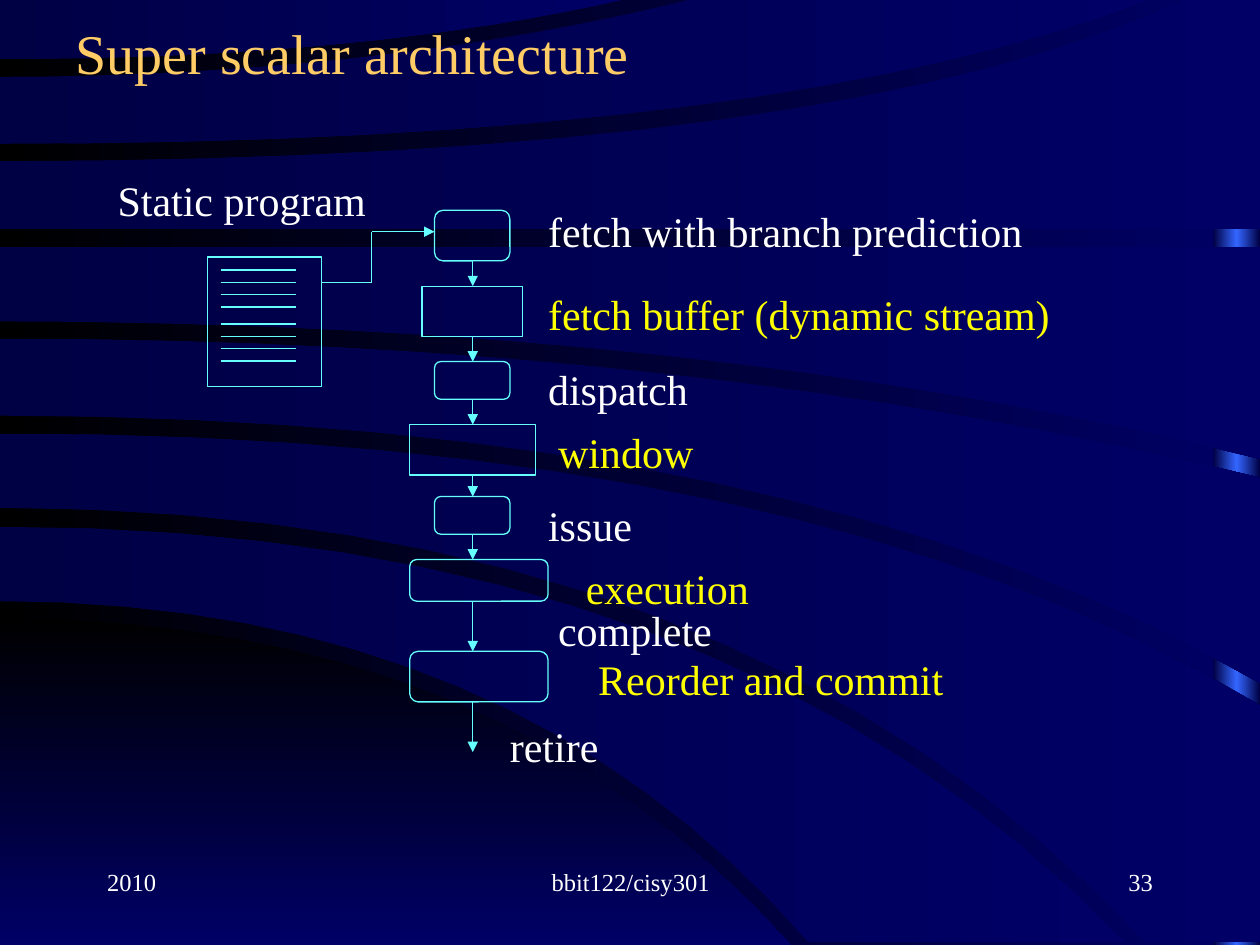
import copy
import itertools

import pptx
import pptx.dml.color
import pptx.enum.shapes
import pptx.enum.text
import pptx.oxml
import pptx.oxml.ns
import pptx.util

Cm = pptx.util.Cm
ALIGN = pptx.enum.text.PP_ALIGN
ANCHOR = pptx.enum.text.MSO_ANCHOR
SHAPE = pptx.enum.shapes.MSO_SHAPE

COLOURS = {
    "black": "000000", "navy": "000066", "midnight": "000044", "blue": "3366FF",
    "cyan": "66FFFF", "white": "FFFFFF", "yellow": "FFFF00", "gold": "FFCC66",
}

WIDTH, HEIGHT, TOP, FLOOR = 25.4, 19.05, -0.05, 19

WEDGE = [(12.47, 10.1, 15.95, HEIGHT), (HEIGHT, 8, 15.95, HEIGHT)]
BANDS = [
    [(10.62, 14.66, 22.68, FLOOR), (12.12, 10.34, 16.31, FLOOR)],
    [(8.74, 16.26, WIDTH, 14.22), (10.24, 14.95, 23.09, FLOOR)],
    [(6.83, 13.9, WIDTH, 9.63), (8.38, 16.1, WIDTH, 13.77)],
    [(4.98, 12.7, WIDTH, 4.98), (6.48, 14.3, WIDTH, 9.25)],
    [(3.25, 17, 23.95, TOP), (4.62, 12.7, WIDTH, 4.62)],
    [(1.55, 7.74, 14.12, TOP), (2.9, 15.75, 23.29, TOP)],
    [(TOP, 6.4, 12.73, TOP), (1.19, 7.4, 12.73, TOP)],
]
CORNERS = {1: [(WIDTH, FLOOR)], 4: [(WIDTH, TOP)]}

STAGES = [
    (SHAPE.ROUNDED_RECTANGLE, 8.76, 4.24, 1.52, 1.02),
    (SHAPE.RECTANGLE, 8.51, 5.77, 2.03, 1.02),
    (SHAPE.ROUNDED_RECTANGLE, 8.76, 7.29, 1.52, 0.76),
    (SHAPE.RECTANGLE, 8.26, 8.56, 2.54, 1.02),
    (SHAPE.ROUNDED_RECTANGLE, 8.76, 10.01, 1.52, 0.76),
    (SHAPE.ROUNDED_RECTANGLE, 8.26, 11.28, 2.79, 0.84),
    (SHAPE.ROUNDED_RECTANGLE, 8.26, 13.13, 2.79, 1.02),
]
AXIS, FLOW_END = 9.53, 15.16

LABELS = [
    ("Static program", 2.12, 3.38, 5.92, 1.4, "white"),
    ("fetch with branch prediction", 10.8, 4.02, 11.23, 1.02, "white"),
    ("fetch buffer (dynamic stream)", 10.8, 5.69, 12.9, 1.02, "yellow"),
    ("dispatch", 10.8, 7.2, 7.24, 1.02, "white"),
    ("window", 11, 8.47, 5.28, 1.02, "yellow"),
    ("issue", 10.8, 9.95, 2.34, 1.06, "white"),
    ("execution", 11.56, 11.22, 6.02, 0.81, "yellow"),
    ("complete", 11, 12.06, 5.26, 0.81, "white"),
    ("Reorder and commit", 11.81, 13.05, 9.14, 0.91, "yellow"),
    ("retire", 10.03, 14.4, 3.3, 0.76, "white"),
]

FOOTERS = [
    ("2010", 1.91, 5.28, ALIGN.LEFT),
    ("bbit122/cisy301", 8.69, 8.05, ALIGN.CENTER),
    ("33", 18.21, 5.28, ALIGN.RIGHT),
]


def curve(start_y, bend_x, end_x, end_y, steps=16):
    """Return points from the left edge along an arc that starts level."""
    fractions = [step / steps for step in range(steps + 1)]
    return [(2 * t * (1 - t) * bend_x + t * t * end_x, start_y + t * t * (end_y - start_y))
            for t in fractions]


class SlideBuilder:
    """Draw styled elements on the current slide."""

    font_format = {"name": "Times New Roman", "bold": False}
    frame_format = {
        "word_wrap": True, "margin_left": Cm(0.25), "margin_right": Cm(0.25),
        "margin_top": Cm(0.13), "margin_bottom": Cm(0.13),
    }

    def __init__(self, slide):
        self.slide = slide

    def colour(self, name):
        return pptx.dml.color.RGBColor.from_string(COLOURS[name])

    def apply(self, target, values):
        for name, value in values.items():
            setattr(target, name, value)

    def gradient(self, fill, element, names, angle=0):
        fill.gradient()
        fill.gradient_angle = angle
        stop_list = element.xpath(".//a:gsLst")[0]
        while len(stop_list) < len(names):
            stop_list.append(copy.deepcopy(stop_list[-1]))
        for index, (stop, name) in enumerate(zip(fill.gradient_stops, names)):
            stop.color.rgb = self.colour(name)
            stop.position = index / (len(names) - 1)

    def background(self, names):
        self.gradient(self.slide.background.fill, self.slide.element, names)

    def gradient_shape(self, shape, names, angle=0):
        shape.shadow.inherit = False
        self.gradient(shape.fill, shape.element, names, angle)
        shape.line.fill.background()

    def strip(self, left, top, width, height, names):
        shape = self.slide.shapes.add_shape(SHAPE.RECTANGLE, *map(Cm, (left, top, width, height)))
        self.gradient_shape(shape, names)

    def band(self, upper, lower, names, corner=(), angle=0):
        points = [*curve(*upper), *corner, *reversed(curve(*lower))]
        corners = [(Cm(x), Cm(y)) for x, y in points]
        builder = self.slide.shapes.build_freeform(*corners[0])
        builder.add_line_segments(corners[1:], close=True)
        self.gradient_shape(builder.convert_to_shape(), names, angle)

    def box(self, kind, left, top, width, height):
        shape = self.slide.shapes.add_shape(kind, *map(Cm, (left, top, width, height)))
        shape.shadow.inherit = False
        shape.fill.background()
        self.stroke(shape.line)

    def stroke(self, line):
        line.color.rgb = self.colour("cyan")
        line.width = pptx.util.Pt(0.75)

    def line(self, start, end, arrow=False):
        connector = self.slide.shapes.add_connector(
            pptx.enum.shapes.MSO_CONNECTOR.STRAIGHT, *map(Cm, start + end))
        self.stroke(connector.line)
        namespace = pptx.oxml.ns.nsdecls("a")
        if arrow:
            tail = pptx.oxml.parse_xml(f'<a:tailEnd {namespace} type="triangle"/>')
            connector.element.xpath(".//a:ln")[0].append(tail)
        connector.element.spPr.append(pptx.oxml.parse_xml(f"<a:effectLst {namespace}/>"))

    def text(self, text, left, top, width, height, colour, size=24,
             align=ALIGN.LEFT, anchor=ANCHOR.TOP):
        shape = self.slide.shapes.add_textbox(*map(Cm, (left, top, width, height)))
        self.apply(shape.text_frame, {**self.frame_format, "vertical_anchor": anchor})
        paragraph = shape.text_frame.paragraphs[0]
        paragraph.alignment = align
        run = paragraph.add_run()
        run.text = text
        self.apply(run.font, {**self.font_format, "size": pptx.util.Pt(size)})
        run.font.color.rgb = self.colour(colour)


def main():
    presentation = pptx.Presentation()
    presentation.slide_width, presentation.slide_height = Cm(WIDTH), Cm(HEIGHT)
    builder = SlideBuilder(presentation.slides.add_slide(presentation.slide_layouts[6]))

    builder.background(["black", "navy"])
    builder.strip(24.46, 0, 0.94, HEIGHT, ["midnight", "blue", "midnight"])
    builder.band(*WEDGE, ["black", "navy"], angle=270)
    for index, edges in enumerate(BANDS):
        builder.band(*edges, ["midnight", "navy"], corner=CORNERS.get(index, ()))

    builder.text("Super scalar architecture", 1.27, 0.64, 23.7, 0.84, "gold", size=32,
                 anchor=ANCHOR.MIDDLE)
    for text, left, width, align in FOOTERS:
        builder.text(text, left, 17.35, width, 1.27, "white", size=14, align=align)
    for label in LABELS:
        builder.text(*label)

    builder.box(SHAPE.RECTANGLE, 4.19, 5.18, 2.29, 2.62)
    for block_top, row in itertools.product((5.44, 6.53), range(4)):
        y = block_top + row * 0.25
        builder.line((4.45, y), (5.97, y))

    route = [(6.48, 5.69), (7.49, 5.69), (7.49, 4.67), (8.76, 4.67)]
    for start, end in itertools.pairwise(route):
        builder.line(start, end, arrow=end == route[-1])

    next_tops = [stage[2] for stage in STAGES[1:]] + [FLOW_END]
    for stage, next_top in zip(STAGES, next_tops):
        kind, left, top, width, height = stage
        builder.box(*stage)
        builder.line((AXIS, top + height), (AXIS, next_top), arrow=True)

    presentation.save("out.pptx")


if __name__ == "__main__":
    main()
